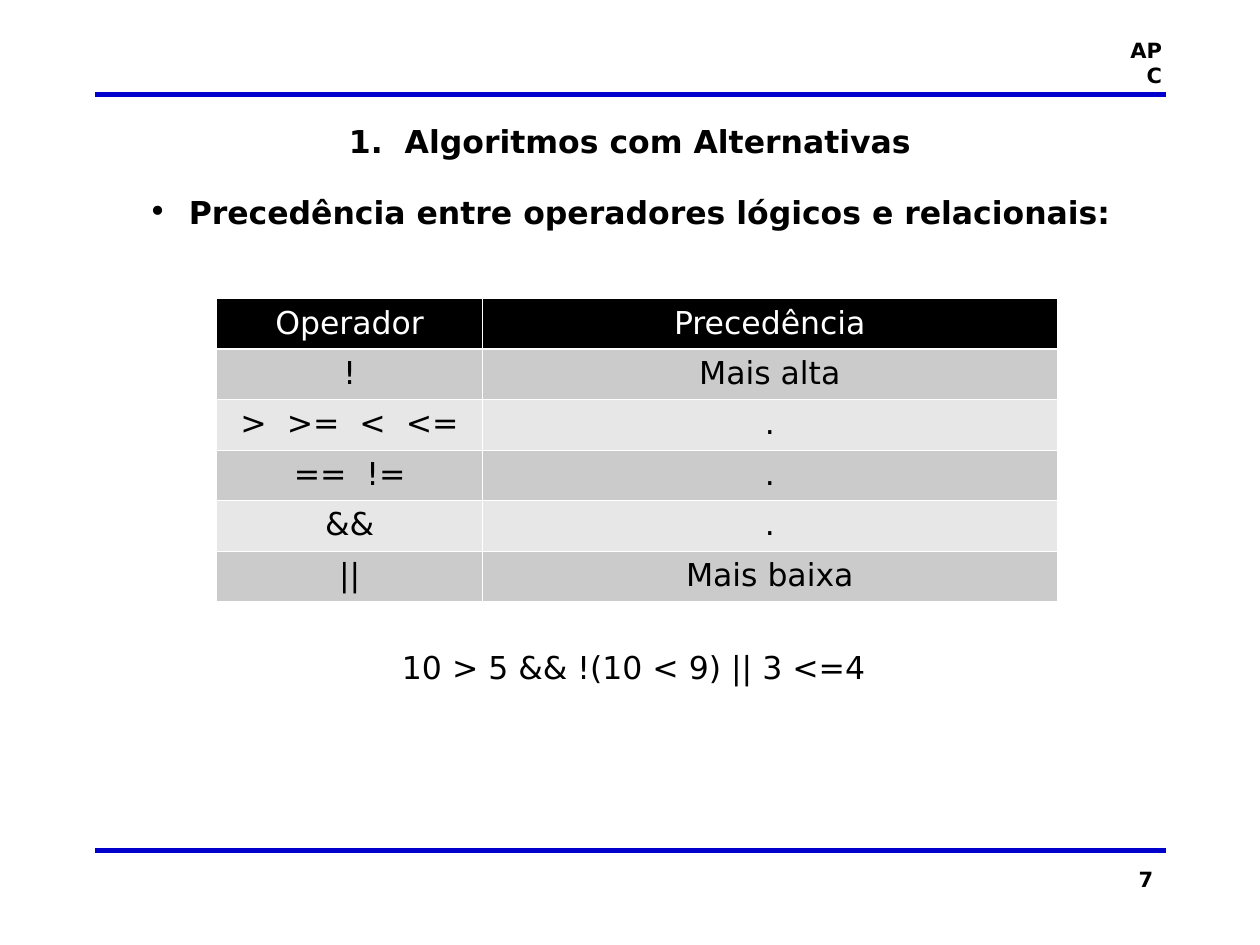
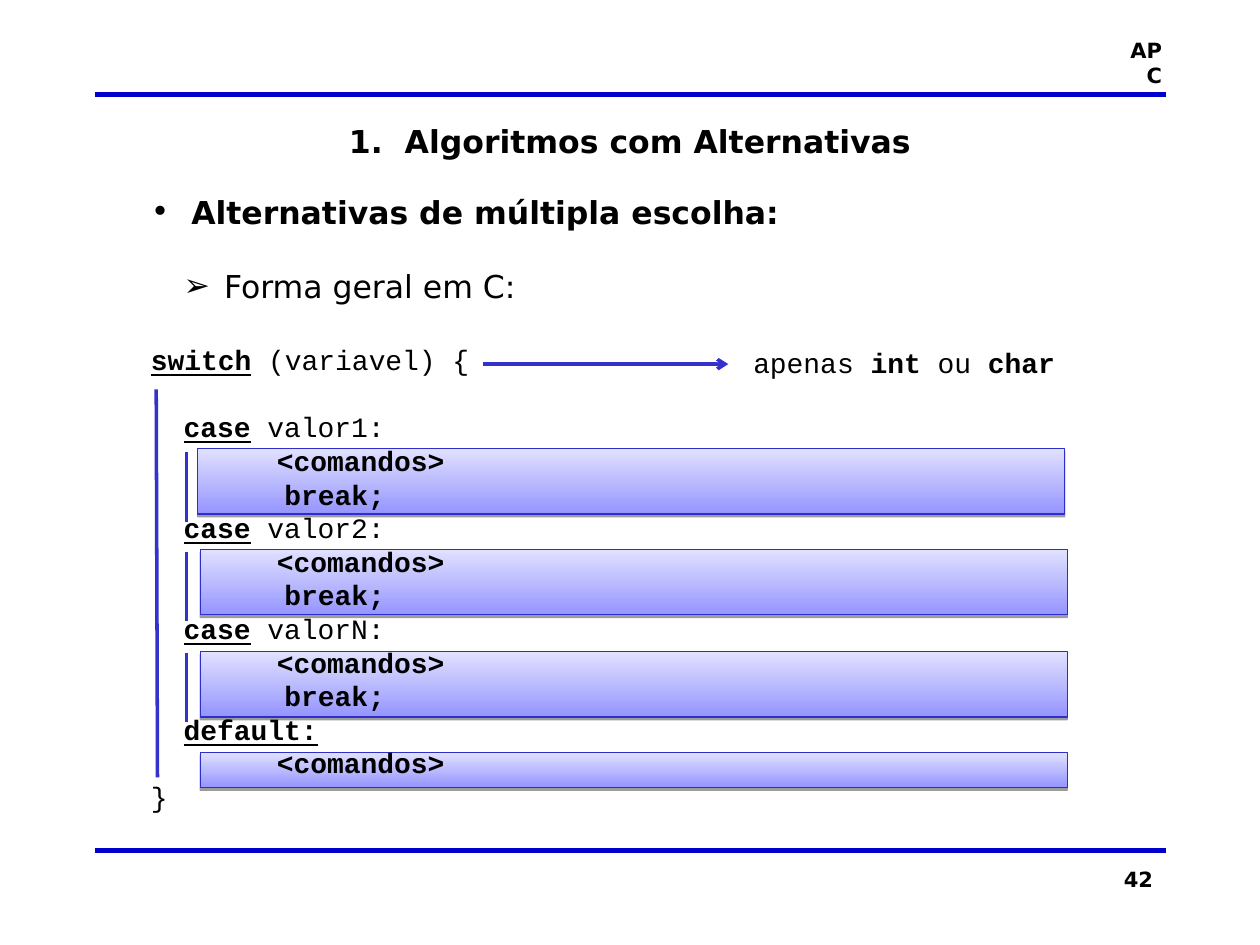
from lxml import etree
from pptx import Presentation
from pptx.dml.color import RGBColor
from pptx.enum.shapes import MSO_CONNECTOR as Connector, MSO_SHAPE as Shape
from pptx.enum.text import MSO_ANCHOR as Anchor, PP_ALIGN as Align
from pptx.oxml import parse_xml
from pptx.oxml.ns import nsdecls, qn
from pptx.util import Inches, Pt

BLACK, WHITE = "000000", "FFFFFF"
RULE_BLUE, LINE_BLUE, BOX_BLUE = "0000CC", "3333CC", "2E2ECB"
BOX_BOTTOM, BOX_TOP = "9595FF", "E1E1FF"
DARK_ROW, LIGHT_ROW = "CBCBCB", "E7E7E7"
BODY_FONT, CODE_FONT = "DejaVu Sans", "Courier New"
TITLE = "1.  Algoritmos com Alternativas"
CODE_PITCH = 19.2
CASE_INDENT, COMMAND_INDENT, BREAK_INDENT = 0.26, 1, 1.06


def rgb(color):
    return RGBColor.from_string(color)


def xml(markup):
    """Parse a drawing element given without its namespace declaration."""
    tag, rest = markup[1:].split(" ", 1)
    return parse_xml(f"<{tag} {nsdecls('a')} {rest}")


class Deck:
    def __init__(self):
        self.presentation = Presentation()
        self.presentation.slide_width = Inches(10)
        self.presentation.slide_height = Inches(7.5)
        self.slide = None

    def add_slide(self, number):
        """Start a slide with the shared title, rules, course tag and number."""
        layout = self.presentation.slide_layouts.get_by_name("Title Only")
        self.slide = self.presentation.slides.add_slide(layout)
        for y in (6.75, 0.75):
            self.line(0.75, y, 9.25, y, RULE_BLUE, 3)
        self.label("APC", 8.8, 0.25, 0.52, 0.3, Align.RIGHT, 12, True)
        self.label(number, 7.17, 6.83, 2.08, 0.5, Align.RIGHT, 12, True)
        title = self.slide.shapes.title
        title.left, title.top = Inches(0.75), Inches(0.92)
        title.width, title.height = Inches(8.5), Inches(0.4)
        title.text_frame.text = TITLE
        title.text_frame.vertical_anchor = Anchor.TOP
        paragraph = title.text_frame.paragraphs[0]
        paragraph.alignment = Align.CENTER
        self.format_run(paragraph.runs[0], bold=True)

    def format_run(self, run, size=18, bold=False, color=BLACK, font=BODY_FONT):
        run.font.name = font
        run.font.size = Pt(size)
        run.font.bold = bold
        run.font.color.rgb = rgb(color)

    def text_box(self, left, top, width, height):
        box = self.slide.shapes.add_textbox(
            Inches(left), Inches(top), Inches(width), Inches(height))
        box.text_frame.word_wrap = True
        return box.text_frame

    def label(self, text, left, top, width, height, alignment, size=18, bold=False):
        frame = self.text_box(left, top, width, height)
        frame.text = text
        frame.paragraphs[0].alignment = alignment
        self.format_run(frame.paragraphs[0].runs[0], size, bold)

    def bullet(self, paragraph, text, symbol, margin=0.32, bold=False, before=0):
        paragraph.text = text
        paragraph.space_before = Pt(before)
        self.format_run(paragraph.runs[0], bold=bold)
        self.indent(paragraph, margin, -0.32)
        properties = paragraph._p.get_or_add_pPr()
        properties.append(xml(f'<a:buFont typeface="{BODY_FONT}"/>'))
        properties.append(xml(f'<a:buChar char="{symbol}"/>'))

    def indent(self, paragraph, margin, first_line=0):
        properties = paragraph._p.get_or_add_pPr()
        properties.set("marL", str(Inches(margin)))
        properties.set("indent", str(Inches(first_line)))

    def code(self, paragraph, pieces, margin=0, before=0):
        """Fill a code line with (text, style) pieces; style may hold b and u."""
        paragraph.line_spacing = Pt(CODE_PITCH)
        paragraph.space_before = Pt(before)
        self.indent(paragraph, margin)
        for text, style in pieces:
            run = paragraph.add_run()
            run.text = text
            self.format_run(run, 16, "b" in style, font=CODE_FONT)
            run.font.underline = "u" in style

    def line(self, x1, y1, x2, y2, color=LINE_BLUE, width=2, arrow=False):
        connector = self.slide.shapes.add_connector(
            Connector.STRAIGHT, Inches(x1), Inches(y1), Inches(x2), Inches(y2))
        connector.line.color.rgb = rgb(color)
        connector.line.width = Pt(width)
        if arrow:
            outline = connector.line._get_or_add_ln()
            etree.SubElement(outline, qn("a:round"))
            outline.append(xml('<a:tailEnd type="arrow" w="med" len="med"/>'))
        etree.SubElement(connector._element.spPr, qn("a:effectLst"))

    def command_box(self, left, top, height):
        box = self.slide.shapes.add_shape(
            Shape.RECTANGLE, Inches(left), Inches(top), Inches(6.88), Inches(height))
        box.fill.gradient()
        box.fill.gradient_angle = 90
        for stop, color, position in zip(
                box.fill.gradient_stops, (BOX_BOTTOM, BOX_TOP), (0, 1)):
            stop.color.rgb = rgb(color)
            stop.position = position
        box.line.color.rgb = rgb(BOX_BLUE)
        box.line.width = Pt(0.75)
        box.shadow.inherit = False
        box._element.spPr.find(qn("a:effectLst")).append(xml(
            f'<a:outerShdw blurRad="0" dist="{Pt(1.6)}" dir="5400000" rotWithShape="0">'
            f'<a:srgbClr val="{BLACK}"><a:alpha val="38000"/></a:srgbClr></a:outerShdw>'))

    def table(self, rows, left, top, column_widths, row_height):
        frame = self.slide.shapes.add_table(
            len(rows), len(column_widths), Inches(left), Inches(top),
            Inches(sum(column_widths)), Inches(row_height * len(rows)))
        table = frame.table
        table.first_row = table.horz_banding = False
        for column, width in zip(table.columns, column_widths):
            column.width = Inches(width)
        for row_index, texts in enumerate(rows):
            header = row_index == 0
            fill = BLACK if header else (LIGHT_ROW, DARK_ROW)[row_index % 2]
            for column_index, text in enumerate(texts):
                cell = table.cell(row_index, column_index)
                cell.text = text
                cell.fill.solid()
                cell.fill.fore_color.rgb = rgb(fill)
                paragraph = cell.text_frame.paragraphs[0]
                paragraph.alignment = Align.CENTER
                self.format_run(paragraph.runs[0], color=WHITE if header else BLACK)
                self.cell_borders(cell, top=1.47 if row_index == 1 else 0.45,
                                  bottom=1.47 if header else 0.45)

    def cell_borders(self, cell, top, bottom):
        properties = cell._tc.get_or_add_tcPr()
        sides = {"L": 0.45, "R": 0.45, "T": top, "B": bottom}
        for position, (side, width) in enumerate(sides.items()):
            properties.insert(position, xml(
                f'<a:ln{side} w="{Pt(width)}"><a:solidFill><a:srgbClr val="{WHITE}"/>'
                f'</a:solidFill></a:ln{side}>'))


def precedence_slide(deck):
    deck.add_slide("7")
    frame = deck.text_box(1.08, 1.48, 7.9, 0.4)
    deck.bullet(frame.paragraphs[0],
                "Precedência entre operadores lógicos e relacionais:", "•", bold=True)
    deck.label("10 > 5 && !(10 < 9) || 3 <=4", 1.08, 5.09, 7.9, 0.4, Align.CENTER)
    deck.table([
        ("Operador", "Precedência"),
        ("!", "Mais alta"),
        (">  >=  <  <=", "."),
        ("==  !=", "."),
        ("&&", "."),
        ("||", "Mais baixa"),
    ], 1.72, 2.37, (2.11, 4.56), 0.4)


def switch_slide(deck):
    deck.add_slide("42")
    for left, top, height in ((1.59, 5.97, 0.28), (1.59, 5.17, 0.52),
                              (1.59, 4.36, 0.52), (1.57, 3.56, 0.52)):
        deck.command_box(left, top, height)

    frame = deck.text_box(1.1, 1.48, 7.9, 5.2)
    deck.bullet(frame.paragraphs[0], "Alternativas de múltipla escolha:", "•", bold=True)
    deck.bullet(frame.add_paragraph(), "Forma geral em C:", "➢", margin=0.58, before=21)
    deck.code(frame.add_paragraph(), [("switch", "bu"), (" (variavel) {", "")],
              before=21.6)
    for index, value in enumerate(("valor1", "valor2", "valorN")):
        deck.code(frame.add_paragraph(), [("case", "bu"), (f" {value}:", "")],
                  CASE_INDENT, before=0 if index else CODE_PITCH)
        deck.code(frame.add_paragraph(), [("<comandos>", "b")], COMMAND_INDENT)
        deck.code(frame.add_paragraph(), [("break;", "b")], BREAK_INDENT)
    deck.code(frame.add_paragraph(), [("default:", "bu")], CASE_INDENT)
    deck.code(frame.add_paragraph(), [("<comandos>", "b")], COMMAND_INDENT)
    deck.code(frame.add_paragraph(), [("}", "")])

    allowed_types = deck.text_box(5.88, 2.69, 3.12, 0.37)
    deck.code(allowed_types.paragraphs[0],
              [("apenas ", ""), ("int", "b"), (" ou ", ""), ("char", "b")])

    deck.line(1.24, 3.09, 1.25, 6.17)
    for top in (3.59, 4.38, 5.18):
        deck.line(1.48, top, 1.48, top + 0.55)
    deck.line(3.83, 2.89, 5.78, 2.89, arrow=True)


def main():
    deck = Deck()
    precedence_slide(deck)
    switch_slide(deck)
    deck.presentation.save("out.pptx")


if __name__ == "__main__":
    main()
